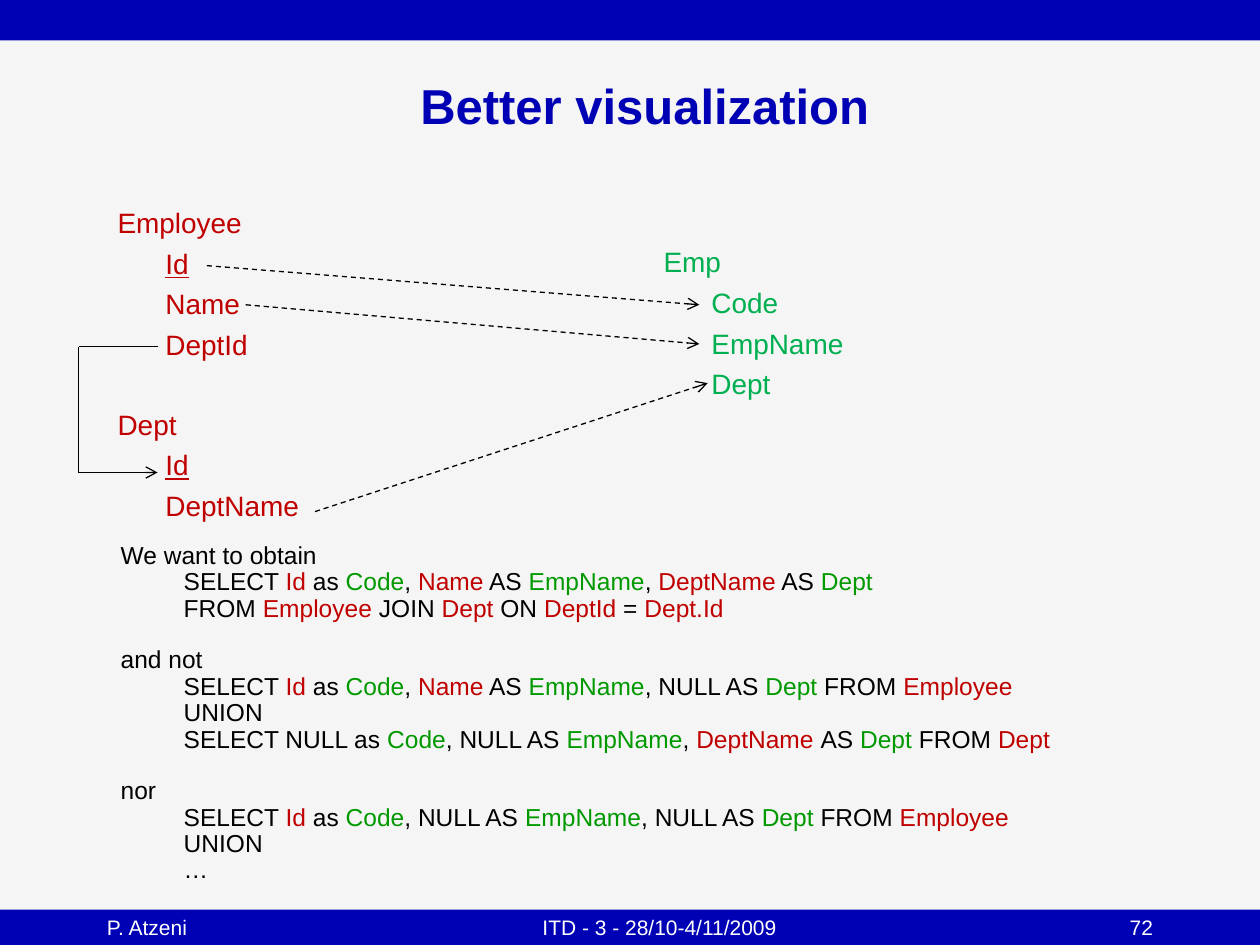
from lxml import etree
from pptx import Presentation
from pptx import util as u
from pptx.dml.color import RGBColor
from pptx.enum import dml, shapes, text
from pptx.oxml.ns import qn

COLOURS = {"bar": "0000B4", "page": "F5F5F5", "plain": "000000",
           "source": "C00000", "result": "00B050", "alias": "009900",
           "footer": "FFFFFF"}
CELL = u.Inches(10) / 120  # the slide is a grid of 120 columns by 90 rows
SCHEMA_ROW = 3.73          # pitch of the schema lines, in grid rows
SCHEMA_PITCH, SCHEMA_GAP = 22.4, 4    # points
QUERY_PITCH, QUERY_GAP = 14.57, 3.3   # points


def grid(*lengths):
    return [u.Emu(round(length * CELL)) for length in lengths]


def colour(name):
    return RGBColor.from_string(COLOURS[name])


def add_run(para, words, size, shade, bold=False, underline=None):
    span = para.add_run()
    span.text = words
    font = span.font
    font.name, font.size, font.bold = "Arial", u.Pt(size), bold
    font.underline = underline
    font.color.rgb = colour(shade)


def next_paragraph(frame, gap, indent):
    """Start an unbulleted paragraph, indented in inches; the first has no gap."""
    first = not frame.paragraphs[0].runs
    para = frame.paragraphs[0] if first else frame.add_paragraph()
    para.space_before = u.Pt(0 if first else gap)
    properties = para._p.get_or_add_pPr()
    properties.set("marL", str(u.Inches(indent)))
    properties.set("indent", "0")
    etree.SubElement(properties, qn("a:buNone"))
    return para


def place(shape, box):
    shape.left, shape.top, shape.width, shape.height = grid(*box)
    shape.text_frame.word_wrap = True
    shape.text_frame.auto_size = text.MSO_AUTO_SIZE.NONE
    return shape.text_frame


def add_bar(page, box):
    bar = page.shapes.add_shape(shapes.MSO_SHAPE.RECTANGLE, *grid(*box))
    bar.shadow.inherit = False
    bar.fill.solid()
    bar.fill.fore_color.rgb = colour("bar")
    bar.line.fill.background()


def add_title(page, box):
    frame = place(page.shapes.title, box)
    frame.vertical_anchor = text.MSO_ANCHOR.MIDDLE
    para = frame.paragraphs[0]
    para.alignment = text.PP_ALIGN.CENTER
    add_run(para, "Better visualization", 28, "bar", bold=True)


def add_schema(placeholder, box, tables, shade):
    """List each table with its attributes; underline those in the key."""
    frame = place(placeholder, box)
    for table, key, attributes in tables:
        para = next_paragraph(frame, SCHEMA_GAP + SCHEMA_PITCH, 0)
        add_run(para, table, 16, shade)
        for attribute in attributes:
            para = next_paragraph(frame, SCHEMA_GAP, 0.38)
            add_run(para, attribute, 16, shade, underline=attribute == key or None)


def add_line(parent, start, end, dashed=False, arrow=False):
    line = parent.shapes.add_connector(
        shapes.MSO_CONNECTOR.STRAIGHT, *grid(*start, *end))
    line.line.color.rgb = colour("plain")
    line.line.width = u.Pt(0.75)
    if dashed:
        line.line.dash_style = dml.MSO_LINE.DASH
    if arrow:
        etree.SubElement(line.line._get_or_add_ln(), qn("a:tailEnd"), type="arrow")
    etree.SubElement(line._element.spPr, qn("a:effectLst"))


def add_correspondences(page, top):
    """Link source attributes to result attributes, by schema line number."""
    for x1, row1, x2, row2 in ((19.7, 1, 66.6, 2), (30, 7.28, 67.4, 4),
                               (23.4, 2, 66.6, 3)):
        start, end = ((x, top + 2.57 + SCHEMA_ROW * row)
                      for x, row in ((x1, row1), (x2, row2)))
        add_line(page, start, end, dashed=True, arrow=True)


def add_foreign_key(page, box):
    left, top, width, height = box
    right, bottom = left + width, top + height
    bracket = page.shapes.add_group_shape()
    add_line(bracket, (right, top), (left, top))
    add_line(bracket, (left, top), (left, bottom))
    add_line(bracket, (left, bottom), (right, bottom), arrow=True)


def add_queries(page, box, queries):
    frame = place(page.shapes.add_textbox(*grid(*box)), box)
    for heading, lines in queries:
        para = next_paragraph(frame, QUERY_GAP + QUERY_PITCH, 0)
        para.line_spacing = 0.7
        add_run(para, heading, 14, "plain")
        for line in lines:
            para = next_paragraph(frame, QUERY_GAP, 0.5)
            para.level = 1
            para.line_spacing = 0.7
            for part in line:
                words, shade = (part, "plain") if isinstance(part, str) else part
                add_run(para, words, 14, shade)


def add_footer(page, box):
    left, top, width, height = box
    add_bar(page, box)
    align = text.PP_ALIGN
    for x, span, words, alignment in (
            (9, 30.24, "P. Atzeni", align.LEFT),
            (23.16, 79.32, "ITD - 3 - 28/10-4/11/2009", align.CENTER),
            (94.92, 16.08, "72", align.RIGHT)):
        part = (left + x, top, span, height)
        frame = place(page.shapes.add_textbox(*grid(*part)), part)
        frame.vertical_anchor = text.MSO_ANCHOR.MIDDLE
        para = frame.paragraphs[0]
        para.alignment = alignment
        add_run(para, words, 12, "footer")


def source(words):
    return words, "source"


def alias(words):
    return words, "alias"


SOURCE_TABLES = [("Employee", "Id", ["Id", "Name", "DeptId"]),
                 ("Dept", "Id", ["Id", "DeptName"])]
RESULT_TABLES = [("Emp", None, ["Code", "EmpName", "Dept"])]

ID_AS_CODE = ["SELECT ", source("Id"), " as ", alias("Code")]
NAME_AS_EMPNAME = [", ", source("Name"), " AS ", alias("EmpName")]
NULL_AS_EMPNAME = [", NULL AS ", alias("EmpName")]
NULL_DEPT = [", NULL AS ", alias("Dept "), "FROM ", source("Employee")]
QUERIES = [
    ("We want to obtain", [
        ID_AS_CODE + NAME_AS_EMPNAME
        + [", ", source("DeptName"), " AS ", alias("Dept")],
        ["FROM ", source("Employee"), " JOIN ", source("Dept"), " ON ",
         source("DeptId"), " = ", source("Dept.Id")]]),
    ("and not", [
        ID_AS_CODE + NAME_AS_EMPNAME + NULL_DEPT,
        ["UNION"],
        ["SELECT NULL as ", alias("Code"), *NULL_AS_EMPNAME, ", ",
         source("DeptName "), "AS ", alias("Dept "), "FROM ", source("Dept")]]),
    ("nor", [ID_AS_CODE + NULL_AS_EMPNAME + NULL_DEPT, ["UNION"], ["…"]]),
]


def main():
    deck = Presentation()
    deck.slide_width, deck.slide_height = grid(120, 90)
    page = deck.slides.add_slide(deck.slide_layouts.get_by_name("Two Content"))
    page.background.fill.solid()
    page.background.fill.fore_color.rgb = colour("page")

    add_bar(page, (0, 0, 120, 3.84))
    add_title(page, (5.2, 3, 112.4, 14))
    _, left_body, right_body = page.placeholders
    add_schema(left_body, (10, 19, 50, 59), SOURCE_TABLES, "source")
    add_schema(right_body, (62, 19 + SCHEMA_ROW, 50, 59 - SCHEMA_ROW),
               RESULT_TABLES, "result")
    add_correspondences(page, 19)
    add_foreign_key(page, (7.5, 33, 7.5, 12))
    add_queries(page, (10.32, 51.6, 102, 34.92), QUERIES)
    add_footer(page, (0, 86.64, 120, 3.36))
    deck.save("out.pptx")


if __name__ == "__main__":
    main()
